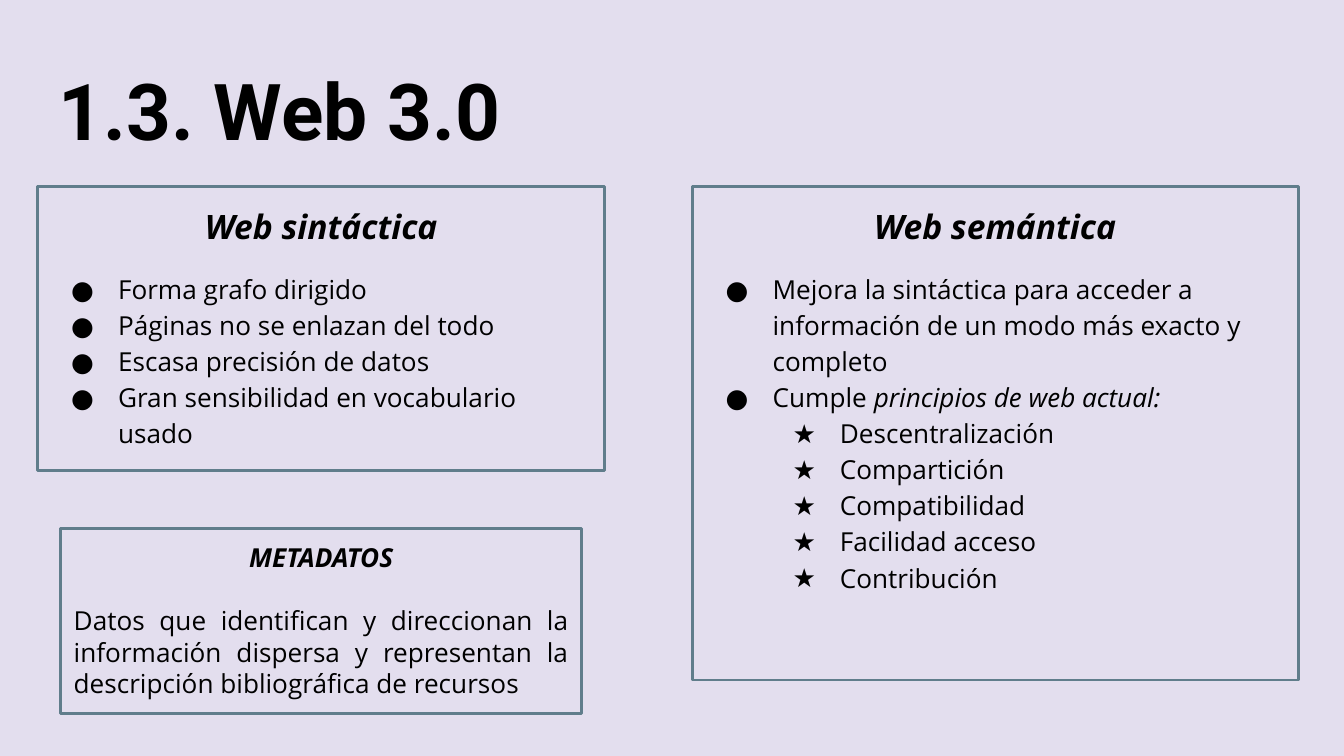
from lxml import etree
from pptx import Presentation
from pptx.dml.color import RGBColor
from pptx.enum.shapes import MSO_SHAPE
from pptx.enum.text import MSO_ANCHOR, PP_ALIGN
from pptx.oxml.ns import qn
from pptx.util import Inches, Pt

RECTANGLE = MSO_SHAPE.RECTANGLE
TOP, BOTTOM = MSO_ANCHOR.TOP, MSO_ANCHOR.BOTTOM
LEFT, CENTER, JUSTIFY = PP_ALIGN.LEFT, PP_ALIGN.CENTER, PP_ALIGN.JUSTIFY
COLORS = {"background": "E3DEEE", "border": "607D8B", "text": "000000"}
MARGINS = {"●": 0.5, "★": 1}


def set_up_frame(shape, anchor):
    frame = shape.text_frame
    frame.word_wrap = True
    frame.vertical_anchor = anchor
    frame.margin_left = frame.margin_right = Inches(0.1)
    frame.margin_top = frame.margin_bottom = Inches(0.1)
    return frame


def write_paragraph(paragraph, runs, size, align=LEFT, heading=False, font="Open Sans",
                    spacing=1, before=0, bullet=None):
    paragraph.alignment = align
    paragraph.line_spacing = spacing
    paragraph.space_before = Pt(before)
    if bullet:
        properties = paragraph._p.get_or_add_pPr()
        properties.set("marL", str(Inches(MARGINS[bullet])))
        properties.set("indent", str(Inches(-0.35)))
        bullet_color = etree.SubElement(properties, qn("a:buClr"))
        etree.SubElement(bullet_color, qn("a:srgbClr")).set("val", COLORS["text"])
        etree.SubElement(properties, qn("a:buSzPts")).set("val", str(size * 100))
        etree.SubElement(properties, qn("a:buFont")).set("typeface", font)
        etree.SubElement(properties, qn("a:buChar")).set("char", bullet)
    paragraph.font.name = font
    paragraph.font.size = Pt(size)
    paragraph.font.bold = heading
    paragraph.font.color.rgb = RGBColor.from_string(COLORS["text"])
    if len(runs) == 1:
        paragraph.font.italic = heading and font == "Open Sans"
    for text, italic in runs:
        run = paragraph.add_run()
        run.text = text
        if len(runs) > 1:
            run.font.italic = italic


presentation = Presentation()
presentation.slide_width = Inches(10)
presentation.slide_height = Inches(10) * 9 // 16
slide = presentation.slides.add_slide(presentation.slide_layouts[6])
slide.background.fill.solid()
slide.background.fill.fore_color.rgb = RGBColor.from_string(COLORS["background"])

title = slide.shapes.add_textbox(Inches(0.34), Inches(0.35), Inches(9.32), Inches(0.91))
title_frame = set_up_frame(title, BOTTOM)
write_paragraph(title_frame.paragraphs[0], [("1.3. Web 3.0", False)], 42,
                heading=True, font="Roboto")

syntactic_items = [
    ("●", [("Forma grafo dirigido", False)]),
    ("●", [("Páginas no se enlazan del todo", False)]),
    ("●", [("Escasa precisión de datos", False)]),
    ("●", [("Gran sensibilidad en vocabulario usado", False)]),
]
principles = ["Descentralización", "Compartición", "Compatibilidad", "Facilidad acceso", "Contribución"]
semantic_items = [
    ("●", [("Mejora la sintáctica para acceder a información de un modo más exacto y completo", False)]),
    ("●", [("Cumple ", False), ("principios de web actual:", True)]),
] + [("★", [(principle, False)]) for principle in principles]
metadata_items = [
    (None, [("Datos que identifican y direccionan la información dispersa y representan la "
             "descripción bibliográfica de recursos", False)]),
]

panels = [
    ((0.28, 1.39, 4.22, 2.11), "Web sintáctica", 18, 1.15, 12, LEFT, syntactic_items),
    ((5.15, 1.39, 4.51, 3.67), "Web semántica", 18, 1.15, 12, LEFT, semantic_items),
    ((0.45, 3.93, 3.88, 1.38), "METADATOS", 14, 1, 17, JUSTIFY, metadata_items),
]
for box, heading, heading_size, spacing, gap, align, items in panels:
    panel = slide.shapes.add_shape(RECTANGLE, *[Inches(length) for length in box])
    panel.shadow.inherit = False
    panel.fill.background()
    panel.line.color.rgb = RGBColor.from_string(COLORS["border"])
    panel.line.width = Pt(1.5)
    frame = set_up_frame(panel, TOP)
    write_paragraph(frame.paragraphs[0], [(heading, True)], heading_size, CENTER,
                    heading=True, spacing=spacing)
    for index, (bullet, runs) in enumerate(items):
        write_paragraph(frame.add_paragraph(), runs, 14, align, spacing=spacing,
                        before=0 if index else gap, bullet=bullet)

presentation.save("out.pptx")
